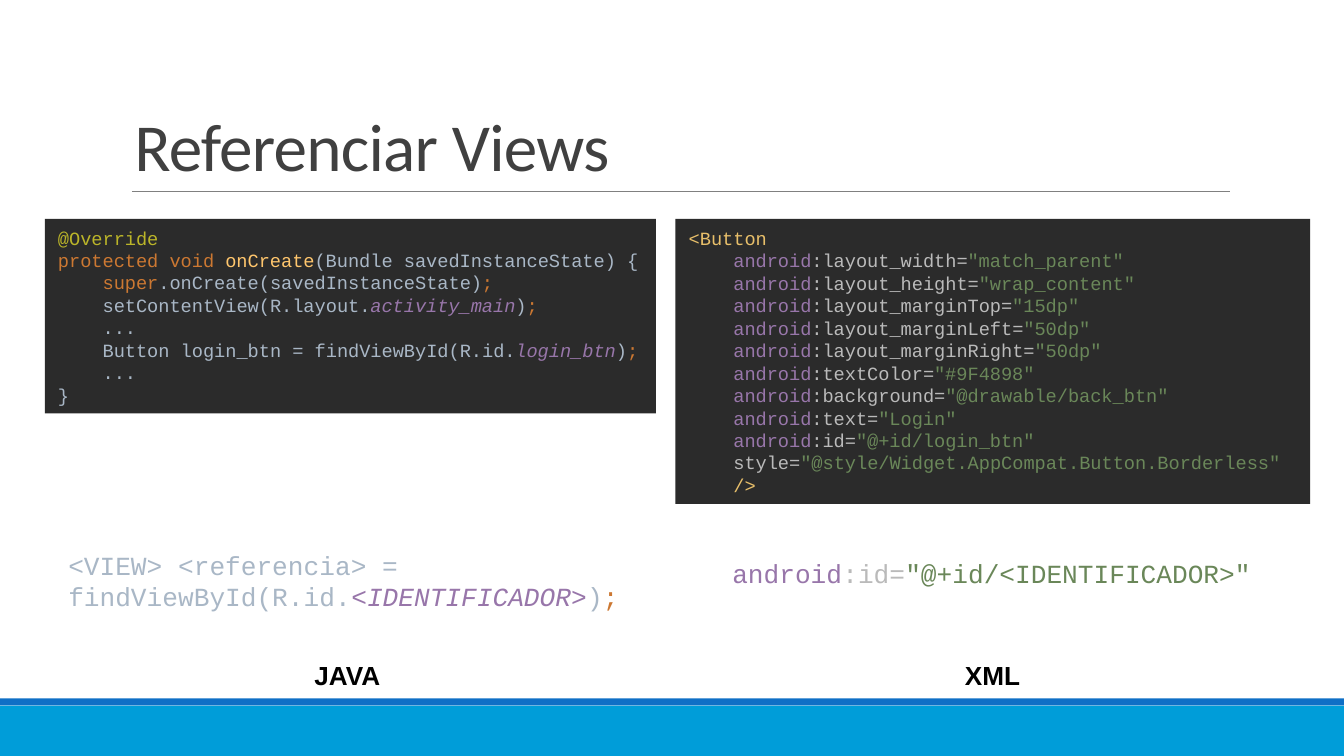
import pptx
import pptx.dml.color
import pptx.enum.shapes
import pptx.enum.text
import pptx.util
import lxml.etree

Pt = pptx.util.Pt
ANCHOR = pptx.enum.text.MSO_ANCHOR
ALIGN = pptx.enum.text.PP_ALIGN

ANNOTATION, KEYWORD, METHOD, PLAIN = "BBB529", "CC7832", "FFC66D", "A9B7C6"
TAG, NAMESPACE, ATTRIBUTE, VALUE = "E8BF6A", "9876AA", "BABABA", "6A8759"
FIELD = NAMESPACE
INDENT = " " * 4

JAVA_CODE = [
    [("@Override", ANNOTATION)],
    [("protected void ", KEYWORD), ("onCreate", METHOD),
     ("(Bundle savedInstanceState) {", PLAIN)],
    [(INDENT + "super", KEYWORD), (".onCreate(savedInstanceState)", PLAIN), (";", KEYWORD)],
    [(INDENT + "setContentView(R.layout.", PLAIN), ("activity_main", FIELD, True),
     (")", PLAIN), (";", KEYWORD)],
    [(INDENT + "...", PLAIN)],
    [(INDENT + "Button login_btn = findViewById(R.id.", PLAIN), ("login_btn", FIELD, True),
     (")", PLAIN), (";", KEYWORD)],
    [(INDENT + "...", PLAIN)],
    [("}", PLAIN)],
]

BUTTON_ATTRIBUTES = [
    ("layout_width", "match_parent"),
    ("layout_height", "wrap_content"),
    ("layout_marginTop", "15dp"),
    ("layout_marginLeft", "50dp"),
    ("layout_marginRight", "50dp"),
    ("textColor", "#9F4898"),
    ("background", "@drawable/back_btn"),
    ("text", "Login"),
    ("id", "@+id/login_btn"),
]


def android_attribute(name, value, indent=INDENT):
    return [(indent + "android", NAMESPACE), (f":{name}=", ATTRIBUTE), (f'"{value}"', VALUE)]


XML_CODE = [
    [("<Button", TAG)],
    *[android_attribute(name, value) for name, value in BUTTON_ATTRIBUTES],
    [(INDENT + "style=", ATTRIBUTE), ('"@style/Widget.AppCompat.Button.Borderless"', VALUE)],
    [(INDENT + "/>", TAG)],
]

JAVA_PATTERN = [[("<VIEW> <referencia> = findViewById(R.id.", PLAIN),
                 ("<IDENTIFICADOR>", FIELD, True), (")", PLAIN), (";", KEYWORD)]]
XML_PATTERN = [android_attribute("id", "@+id/<IDENTIFICADOR>", indent="")]


def color(value):
    return pptx.dml.color.RGBColor.from_string(value)


def add_span(para, text, *, font, size, fill, bold=False, italic=False, spacing=None):
    span = para.add_run()
    span.text = text
    span.font.name = font
    span.font.size = Pt(size)
    span.font.bold = bold
    span.font.italic = italic
    span.font.color.rgb = color(fill)
    if spacing is not None:
        span.font._element.set("spc", str(round(spacing * 100)))
    return span


class SlideBuilder:
    """Holds the fonts and the page being filled."""

    heading_font = "Calibri"
    label_font = "Arial"
    code_font = "Courier New"

    def __init__(self, deck):
        self.page = deck.slides.add_slide(deck.slide_layouts[5])

    def title(self, text, left, top, width, height):
        box = self.page.shapes.title
        box.left, box.top, box.width, box.height = map(Pt, (left, top, width, height))
        frame = box.text_frame
        frame.auto_size = pptx.enum.text.MSO_AUTO_SIZE.NONE
        frame.vertical_anchor = ANCHOR.BOTTOM
        para = frame.paragraphs[0]
        para.alignment = ALIGN.LEFT
        para.line_spacing = 0.85
        add_span(para, text, font=self.heading_font, size=36, fill="404040", spacing=-0.4)

    def rectangle(self, left, top, width, height, fill):
        box = self.page.shapes.add_shape(pptx.enum.shapes.MSO_SHAPE.RECTANGLE,
                                         Pt(left), Pt(top), Pt(width), Pt(height))
        box.shadow.inherit = False
        box.fill.solid()
        box.fill.fore_color.rgb = color(fill)
        box.line.fill.background()
        return box

    def rule(self, left, right, top):
        line = self.page.shapes.add_connector(pptx.enum.shapes.MSO_CONNECTOR.STRAIGHT,
                                              Pt(left), Pt(top), Pt(right), Pt(top))
        line.line.color.rgb = color("808080")
        line.line.width = Pt(0.5)
        lxml.etree.SubElement(line._element.spPr, pptx.oxml.ns.qn("a:effectLst"))

    def text_box(self, left, top, width, height, wrap=False):
        box = self.page.shapes.add_textbox(Pt(left), Pt(top), Pt(width), Pt(height))
        box.text_frame.word_wrap = wrap
        return box.text_frame

    def label(self, text, left, top, width, height):
        frame = self.text_box(left, top, width, height)
        add_span(frame.paragraphs[0], text, font=self.label_font, size=14,
                 fill="000000", bold=True)

    def write_code(self, frame, lines, size):
        for index, line in enumerate(lines):
            para = frame.add_paragraph() if index else frame.paragraphs[0]
            para.alignment = ALIGN.LEFT
            for text, fill, *italic in line:
                add_span(para, text, font=self.code_font, size=size, fill=fill,
                         italic=bool(italic))

    def code_panel(self, lines, left, top, width, height):
        frame = self.rectangle(left, top, width, height, "2B2B2B").text_frame
        frame.word_wrap = True
        frame.vertical_anchor = ANCHOR.MIDDLE
        self.write_code(frame, lines, 10)

    def code_pattern(self, lines, left, top, width, height, wrap=False):
        self.write_code(self.text_box(left, top, width, height, wrap), lines, 14)


def main():
    deck = pptx.Presentation()
    deck.slide_width, deck.slide_height = Pt(720), Pt(405)
    slide = SlideBuilder(deck)

    slide.rectangle(0, 378, 720, 27, "009DD9")
    slide.rectangle(0, 374.2, 720, 3.8, "0F6FC6")
    slide.rule(70.6, 658.8, 102.6)
    slide.title("Referenciar Views", 64.8, 17.1, 588, 85.7)

    slide.label("XML", 509.8, 350, 44.6, 24.2)
    slide.label("JAVA", 161.3, 350, 52.6, 24.2)
    slide.code_panel(JAVA_CODE, 24, 117.3, 327.4, 104.2)
    slide.code_panel(XML_CODE, 361.9, 117.3, 340, 152.7)
    slide.code_pattern(XML_PATTERN, 385.2, 295.2, 293.8, 24.2)
    slide.code_pattern(JAVA_PATTERN, 29.5, 290.7, 316, 58.2, wrap=True)

    deck.save("out.pptx")


if __name__ == "__main__":
    main()
